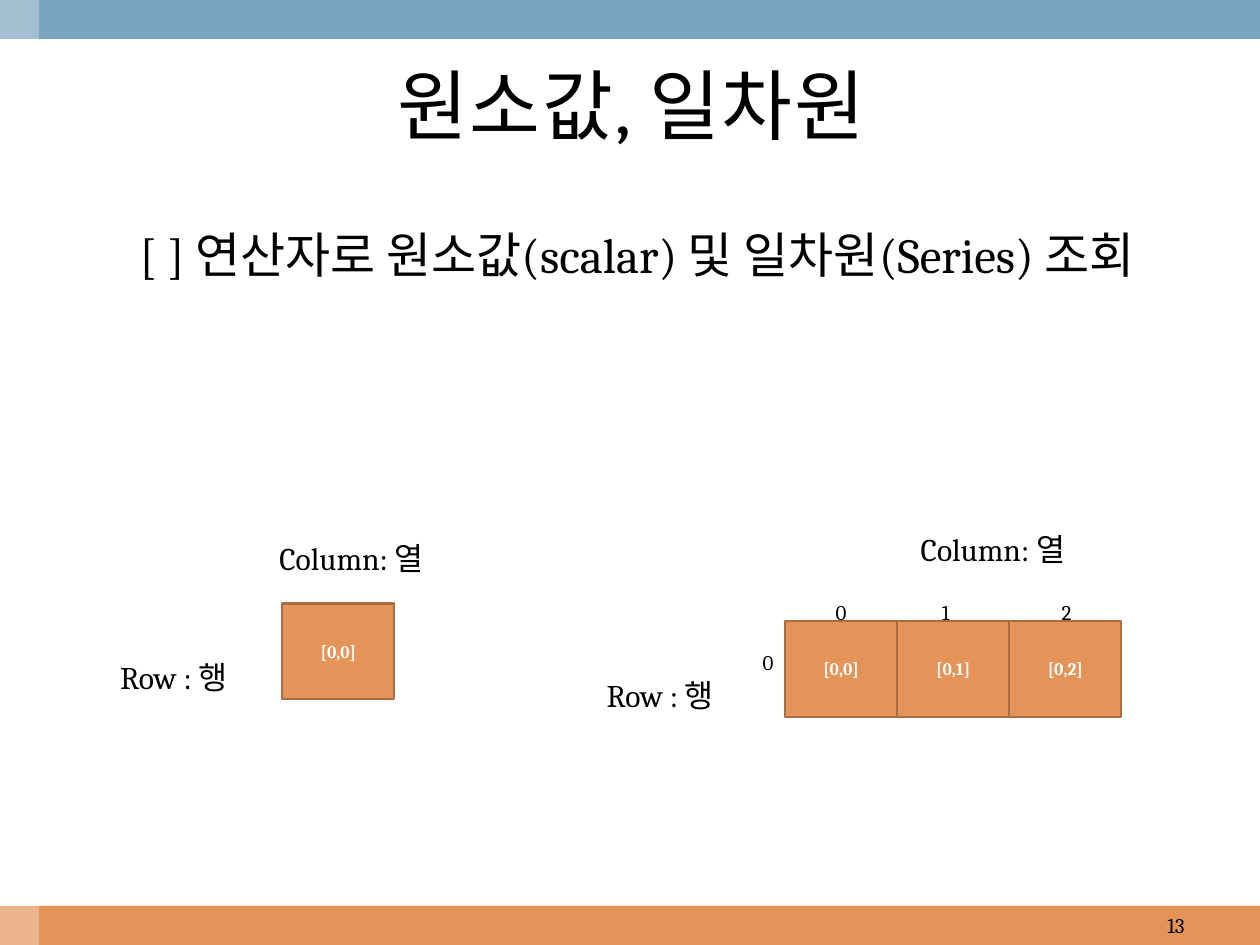
from lxml import etree
from pptx import Presentation
from pptx.dml.color import RGBColor
from pptx.enum import shapes, text
from pptx.oxml import ns
from pptx.util import Inches, Pt

ORANGE = RGBColor(0xE4, 0x94, 0x58)
BROWN = RGBColor(0xA9, 0x6D, 0x41)
BLUE = RGBColor(0x7B, 0xA5, 0xBE)
WHITE = RGBColor(0xFF, 0xFF, 0xFF)
BLACK = RGBColor(0, 0, 0)

FONT = "Cambria"
BAND = 0.31
CELL_WIDTH, CELL_HEIGHT = 0.89, 0.76


def write(shape, words, size=18, color=BLACK, bold=False, align=text.PP_ALIGN.CENTER,
          anchor=text.MSO_ANCHOR.TOP, indent=0, spacing=0):
    """Put one formatted paragraph into a shape."""
    frame = shape.text_frame
    frame.word_wrap = True
    frame.vertical_anchor = anchor
    paragraph = frame.paragraphs[0]
    paragraph.alignment = align
    if indent:
        properties = paragraph._p.get_or_add_pPr()
        properties.set("marL", str(Inches(indent)))
        properties.set("indent", "0")
    run = paragraph.add_run()
    run.text = words
    run.font.name = FONT
    run.font.size = Pt(size)
    run.font.bold = bold
    run.font.color.rgb = color
    if spacing:
        run._r.get_or_add_rPr().set("spc", str(spacing * 100))


def add_label(slide, words, left, top, width, height, **style):
    """Add a text box with one paragraph."""
    box = slide.shapes.add_textbox(Inches(left), Inches(top), Inches(width), Inches(height))
    write(box, words, **style)


def add_rect(slide, left, top, width, height, fill, line=None, opacity=None):
    """Add a flat rectangle, optionally outlined or translucent."""
    rect = slide.shapes.add_shape(shapes.MSO_SHAPE.RECTANGLE, Inches(left), Inches(top),
                                  Inches(width), Inches(height))
    rect.shadow.inherit = False
    rect.fill.solid()
    rect.fill.fore_color.rgb = fill
    if line is None:
        rect.line.fill.background()
    else:
        rect.line.color.rgb = line
        rect.line.width = Pt(1.25)
    if opacity is not None:
        tint = rect._element.spPr.find(".//" + ns.qn("a:srgbClr"))
        etree.SubElement(tint, ns.qn("a:alpha"), val=str(opacity * 1000))
    return rect


def add_bands(slide, width, height):
    """Draw the top and bottom bands and the pale strip on the left."""
    add_rect(slide, 0, height - BAND, width, BAND, ORANGE)
    add_rect(slide, 0, 0, width, BAND, BLUE)
    add_rect(slide, 0, 0, BAND, height, WHITE, opacity=30)


def add_headings(slide):
    """Write the title, the statement and the page number."""
    middle = text.MSO_ANCHOR.MIDDLE
    add_label(slide, "원소값, 일차원", 0.33, 0.31, 9.36, 1.03, size=44, anchor=middle, spacing=1)
    add_label(slide, "[ ] 연산자로 원소값(scalar) 및 일차원(Series) 조회", 0.51, 1.73, 9, 1.47,
              size=28, align=text.PP_ALIGN.LEFT, indent=0.5)
    add_label(slide, "13", 7.17, 7.19, 2.33, BAND, size=12, align=text.PP_ALIGN.RIGHT,
              anchor=middle)


def add_cells(slide, left, top, count, row_offset, column_offset):
    """Draw one row of indexed cells with its row and column captions."""
    for column in range(count):
        cell = add_rect(slide, left + column * CELL_WIDTH, top, CELL_WIDTH, CELL_HEIGHT,
                        ORANGE, line=BROWN)
        write(cell, f"[0,{column}]", size=10, color=WHITE, bold=True,
              anchor=text.MSO_ANCHOR.MIDDLE)
    for words, (dx, dy), width in (("Row : 행", row_offset, 1.26),
                                   ("Column: 열", column_offset, 1.76)):
        add_label(slide, words, left + dx, top + dy, width, 0.4)


def add_indices(slide, left, top):
    """Number the row and the columns around the cells."""
    offsets = (("0", -0.36, 0.18), ("0", 0.22, -0.22), ("1", 1.05, -0.22), ("2", 2.01, -0.22))
    for index, dx, dy in offsets:
        add_label(slide, index, left + dx, top + dy, 0.45, 0.3, size=12)


def main():
    """Build and save the slide."""
    deck = Presentation()
    deck.slide_width, deck.slide_height = Inches(10), Inches(7.5)
    slide = deck.slides.add_slide(deck.slide_layouts[6])
    add_bands(slide, 10, 7.5)
    add_headings(slide)
    add_cells(slide, 2.24, 4.79, 1, (-1.49, 0.38), (-0.33, -0.56))
    add_cells(slide, 6.23, 4.93, 3, (-1.62, 0.39), (0.77, -0.77))
    add_indices(slide, 6.23, 4.93)
    deck.save("out.pptx")


if __name__ == "__main__":
    main()
